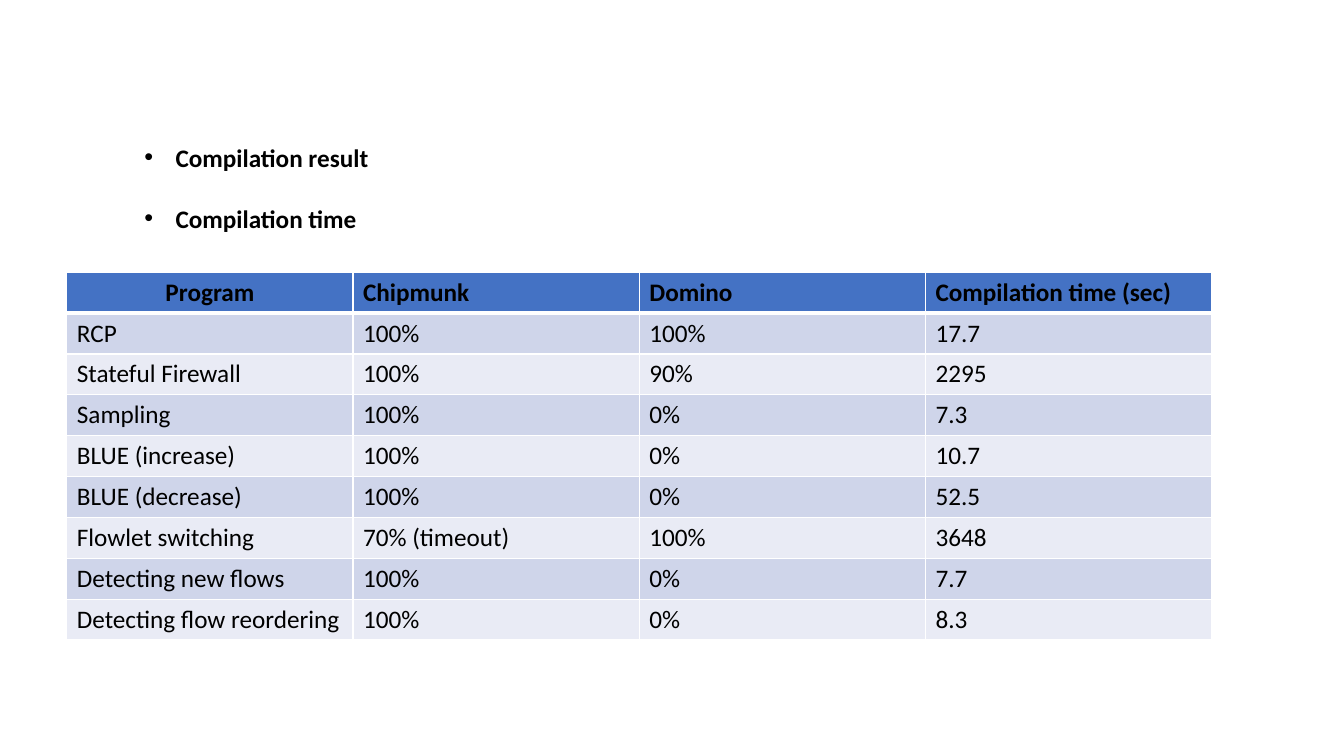
import dataclasses
import typing

import lxml.etree
import pptx
import pptx.dml.color
import pptx.enum.text
import pptx.oxml.ns
import pptx.util

SLIDE_WIDTH = pptx.util.Inches(13.33)
SLIDE_HEIGHT = pptx.util.Inches(7.5)
COLOURS = {
    "text": "000000",
    "border": "FFFFFF",
    "header": "4472C4",
    "odd": "CFD5EA",
    "even": "E9EBF5",
}
FONT = {"name": "Calibri", "size": pptx.util.Pt(18)}
COLUMN_SHARE = 21.3
ROW_SHARE = 5.41
BULLET_INDENT = pptx.util.Inches(0.31)


@dataclasses.dataclass(frozen=True)
class Area:
    """A place on the slide, in percent of its width and height."""

    left: float
    top: float
    width: float
    height: float

    def lengths(self) -> tuple[int, int, int, int]:
        return (
            across(self.left),
            down(self.top),
            across(self.width),
            down(self.height),
        )


class Program(typing.NamedTuple):
    name: str
    chipmunk: str
    domino: str
    seconds: str


HEADINGS = Program("Program", "Chipmunk", "Domino", "Compilation time (sec)")
PROGRAMS = [
    Program("RCP", "100%", "100%", "17.7"),
    Program("Stateful Firewall", "100%", "90%", "2295"),
    Program("Sampling", "100%", "0%", "7.3"),
    Program("BLUE (increase)", "100%", "0%", "10.7"),
    Program("BLUE (decrease)", "100%", "0%", "52.5"),
    Program("Flowlet switching", "70% (timeout)", "100%", "3648"),
    Program("Detecting new flows", "100%", "0%", "7.7"),
    Program("Detecting flow reordering", "100%", "0%", "8.3"),
]
TOPICS = ["Compilation result", "Compilation time"]
TOPICS_AREA = Area(10, 18.13, 50, 13.5)
RESULTS_AREA = Area(
    4.97, 36, COLUMN_SHARE * len(HEADINGS), ROW_SHARE * (len(PROGRAMS) + 1)
)


def across(percent: float) -> int:
    return round(SLIDE_WIDTH * percent / 100)


def down(percent: float) -> int:
    return round(SLIDE_HEIGHT * percent / 100)


def colour(name: str) -> pptx.dml.color.RGBColor:
    return pptx.dml.color.RGBColor.from_string(COLOURS[name])


def write(paragraph, text: str, bold: bool) -> None:
    run = paragraph.add_run()
    run.text = text
    for attribute, value in {**FONT, "bold": bold}.items():
        setattr(run.font, attribute, value)
    run.font.color.rgb = colour("text")


def add_element(parent, tag: str, **attributes: str):
    return lxml.etree.SubElement(parent, pptx.oxml.ns.qn(tag), attributes)


def add_borders(cell, row: int) -> None:
    """Draw thin borders, with a thick one between the header and the body."""
    points = {
        "a:lnL": 1,
        "a:lnR": 1,
        "a:lnT": 3 if row == 1 else 1,
        "a:lnB": 3 if row == 0 else 1,
    }
    properties = cell._tc.get_or_add_tcPr()
    for side, width in points.items():
        line = add_element(properties, side, w=str(pptx.util.Pt(width)))
        fill = add_element(line, "a:solidFill")
        add_element(fill, "a:srgbClr", val=COLOURS["border"])


def add_results(slide, area: Area) -> None:
    rows = [HEADINGS, *PROGRAMS]
    table = slide.shapes.add_table(
        len(rows), len(HEADINGS), *area.lengths()
    ).table
    for column in table.columns:
        column.width = across(COLUMN_SHARE)
    for row, program in enumerate(rows):
        table.rows[row].height = down(ROW_SHARE)
        is_header = row == 0
        band = "header" if is_header else "odd" if row % 2 else "even"
        for column, text in enumerate(program):
            cell = table.cell(row, column)
            add_borders(cell, row)
            cell.fill.solid()
            cell.fill.fore_color.rgb = colour(band)
            write(cell.text_frame.paragraphs[0], text, is_header)
    heading = table.cell(0, 0).text_frame.paragraphs[0]
    heading.alignment = pptx.enum.text.PP_ALIGN.CENTER


def add_topics(slide, area: Area) -> None:
    frame = slide.shapes.add_textbox(*area.lengths()).text_frame
    frame_format = {
        "word_wrap": True,
        "auto_size": pptx.enum.text.MSO_AUTO_SIZE.SHAPE_TO_FIT_TEXT,
    }
    for attribute, value in frame_format.items():
        setattr(frame, attribute, value)
    for position, topic in enumerate(TOPICS):
        paragraph = frame.add_paragraph() if position else frame.paragraphs[0]
        if position:
            paragraph.space_before = pptx.util.Pt(22)
        write(paragraph, topic, True)
        properties = paragraph._p.get_or_add_pPr()
        properties.set("marL", str(BULLET_INDENT))
        properties.set("indent", str(-BULLET_INDENT))
        add_element(properties, "a:buFont", typeface="Arial")
        add_element(properties, "a:buChar", char="•")


def main() -> None:
    presentation = pptx.Presentation()
    presentation.slide_width = SLIDE_WIDTH
    presentation.slide_height = SLIDE_HEIGHT
    slide = presentation.slides.add_slide(presentation.slide_layouts[6])
    add_results(slide, RESULTS_AREA)
    add_topics(slide, TOPICS_AREA)
    presentation.save("out.pptx")


if __name__ == "__main__":
    main()
